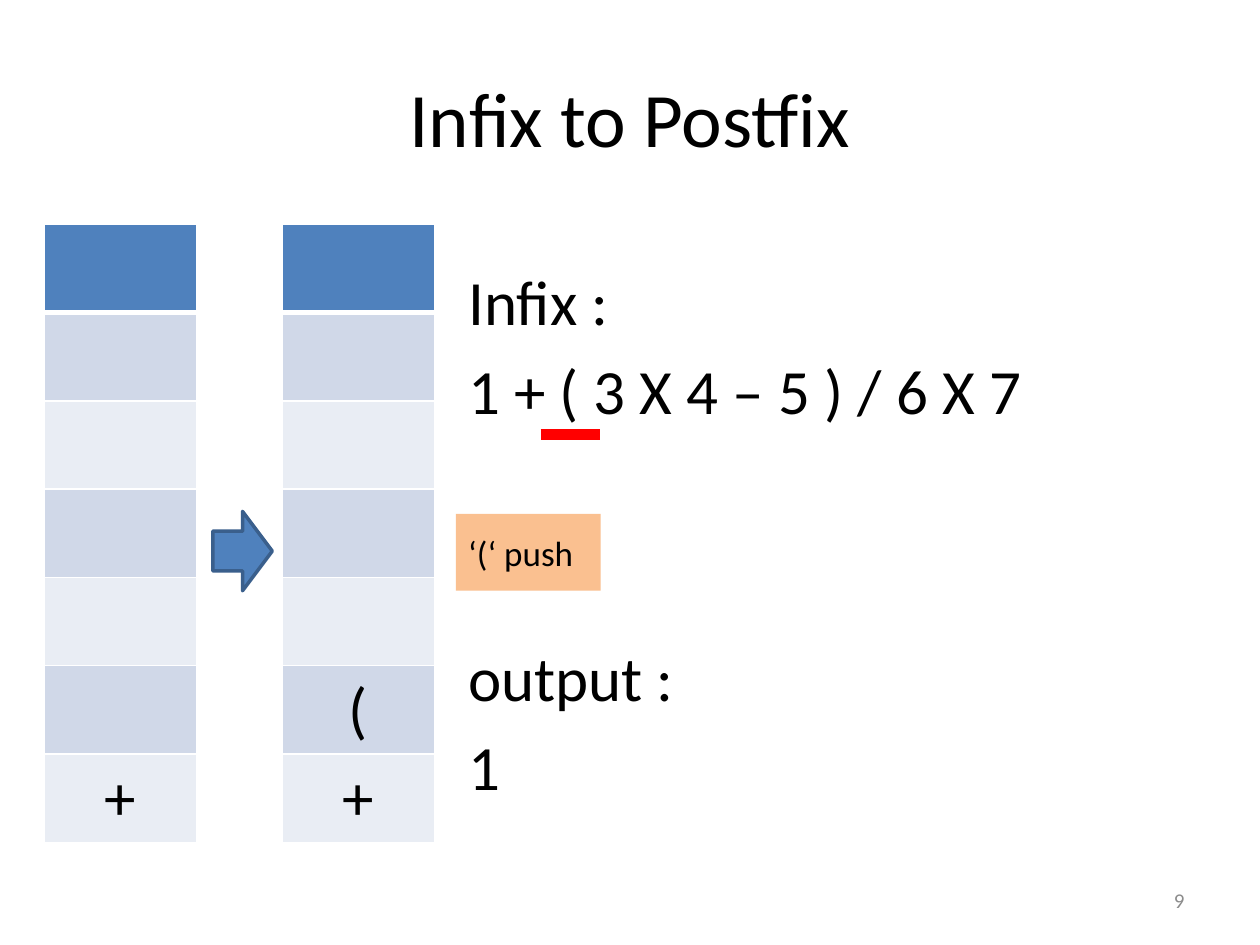
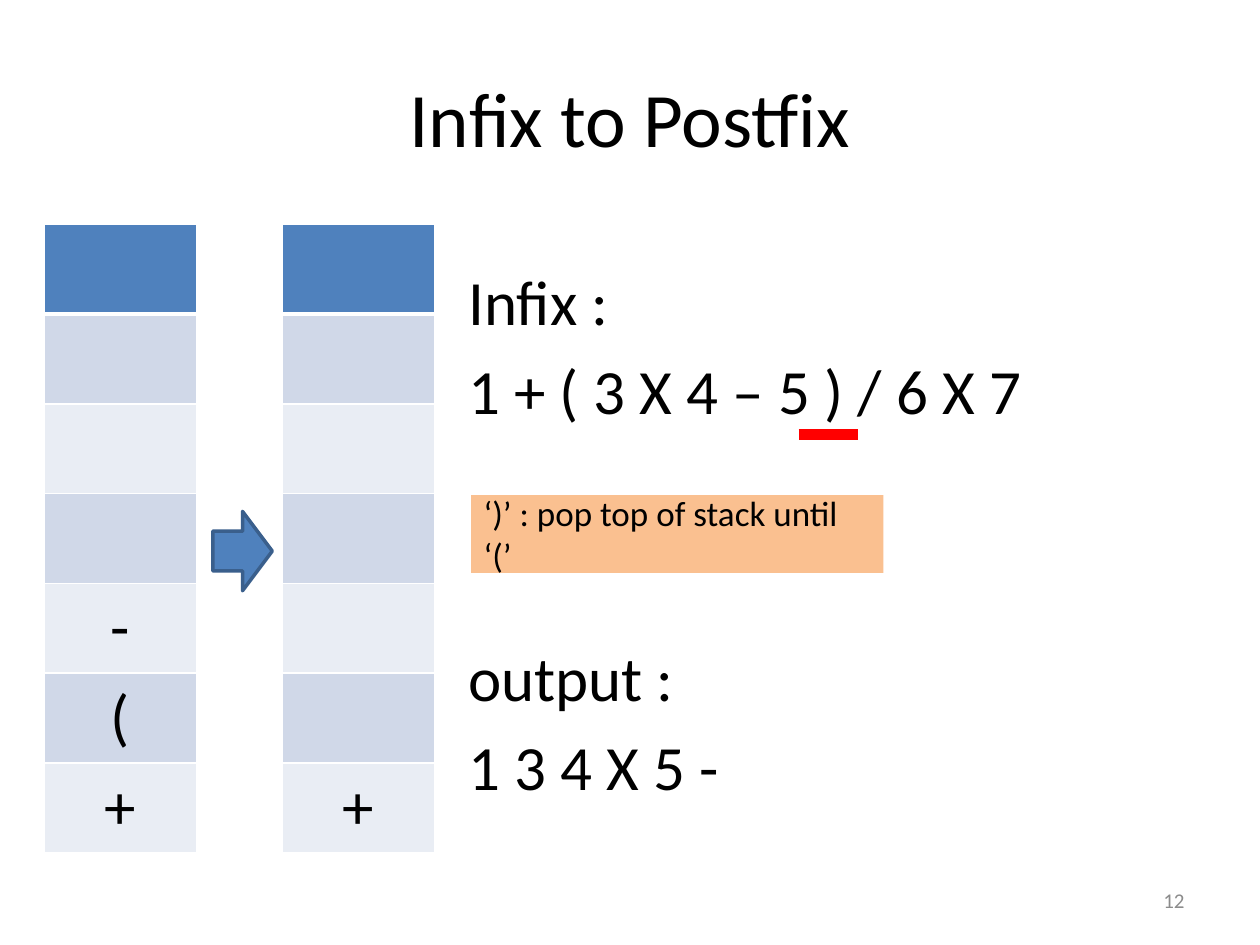
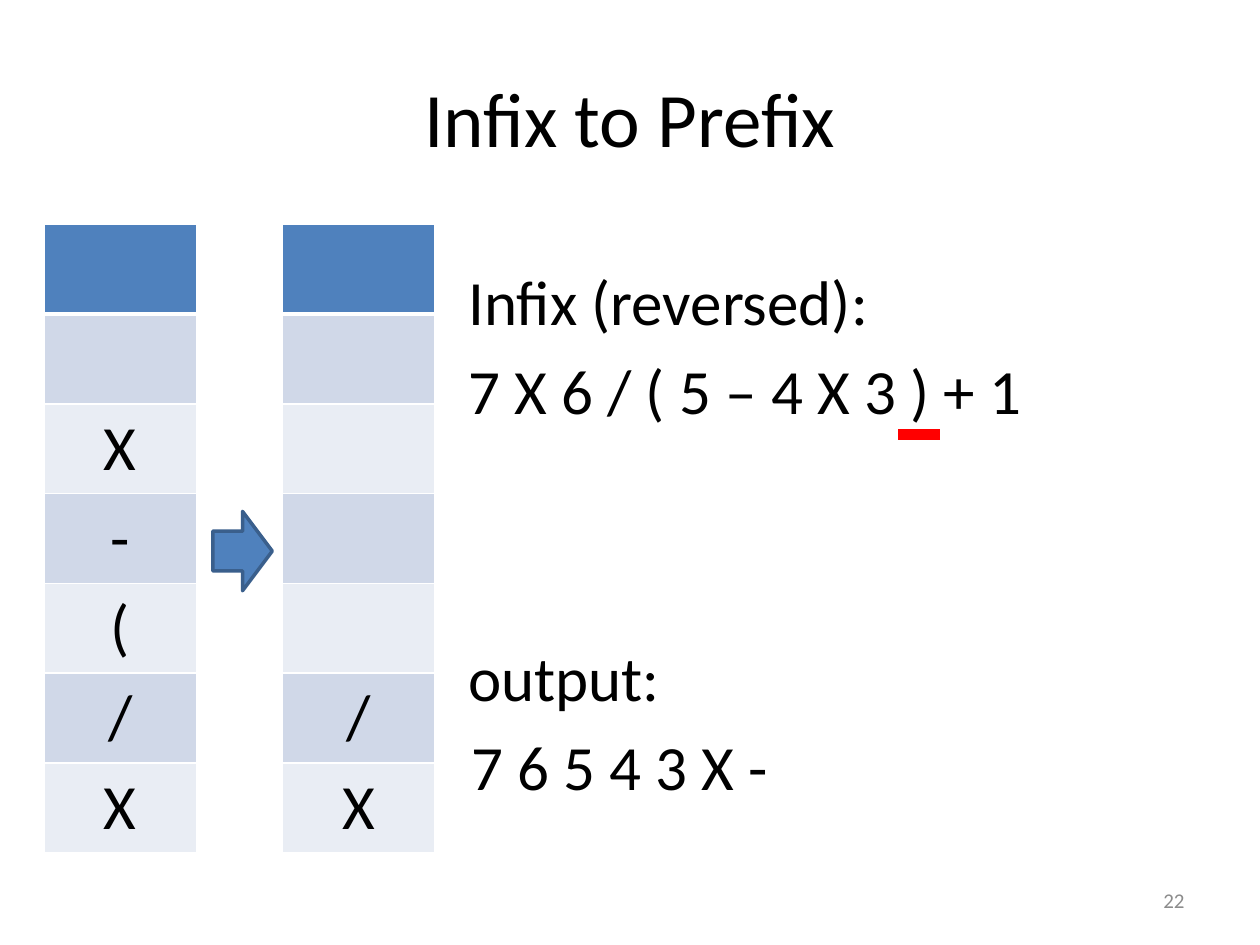
from lxml.etree import SubElement as Sub
from pptx import Presentation
from pptx.dml.color import RGBColor
from pptx.enum.shapes import MSO_CONNECTOR as Line, MSO_SHAPE as Kind
from pptx.enum.text import MSO_ANCHOR as Anchor, MSO_AUTO_SIZE as Auto, PP_ALIGN as Align
from pptx.oxml.ns import qn
from pptx.util import Cm, Pt

FONT = "Calibri"
BLACK, WHITE, RED, GREY = "000000", "FFFFFF", "FF0000", "8C8C8C"
BLUE, EDGE, PEACH = "4F81BD", "3A5F8C", "FAC090"
BANDS = "E9EDF4", "D0D8E8"

ROWS = 7
WIDE = 3.07
TOP = 4.52
LEFT = 9.19
TALL = 1.8
MARK = 8.76

STEPS = [
    {"title": "Infix to Postfix", "page": "9", "row": 1.78,
     "stacks": ["+", "(+"], "mark": (10.9, 12.09),
     "lines": [("Infix :", LEFT, 3.61), ("1 + ( 3 X 4 – 5 ) / 6 X 7", LEFT, 15.98),
               ("output :", LEFT, 5.21), ("1", LEFT, 10.29)],
     "note": ("‘(‘ push", LEFT, 10.36, 2.92, 1.55)},
    {"title": "Infix to Postfix", "page": "12", "row": 1.81,
     "stacks": ["-(+", "+"], "mark": (16.1, 17.3),
     "lines": [("Infix :", LEFT, 3.61), ("1 + ( 3 X 4 – 5 ) / 6 X 7", LEFT, 15.98),
               ("output :", LEFT, 5.21), ("1 3 4 X 5 -", LEFT, 10.29)],
     "note": ("‘)’ : pop top of stack until ‘(’", 9.5, 9.98, 8.31, 1.57)},
    {"title": "Infix to Prefix", "page": "22", "row": 1.81,
     "stacks": ["X-(/X", "/X"], "mark": (18.11, 18.95),
     "lines": [("Infix (reversed):", LEFT, 9.32), ("7 X 6 / ( 5 – 4 X 3 ) + 1", LEFT, 15.98),
               ("output:", LEFT, 9.32), ("7 6 5 4 3 X -", 9.25, 13.46)],
     "note": None},
]
STACK_X = 0.89, 5.69
LINE_Y = 5.16, 6.96, 12.75, 14.55


def tint(code):
    return RGBColor.from_string(code)


def paint(part, code):
    part.fill.solid()
    part.fill.fore_color.rgb = tint(code)


def write(frame, words, size, align=Align.LEFT, code=BLACK):
    para = frame.paragraphs[0]
    para.alignment = align
    run = para.add_run()
    run.text = words
    font = run.font
    font.name, font.size = FONT, Pt(size)
    font.color.rgb = tint(code)


def add_text(slide, words, x, y, wide, tall, size, **style):
    frame = slide.shapes.add_textbox(Cm(x), Cm(y), Cm(wide), Cm(tall)).text_frame
    frame.word_wrap = True
    write(frame, words, size, **style)
    return frame


def edge(cell, head):
    props = cell._tc.get_or_add_tcPr()
    for side in "LRTB":
        width = Pt(3 if head and side == "B" else 1)
        line = Sub(props, qn("a:ln" + side), w=str(width))
        Sub(Sub(line, qn("a:solidFill")), qn("a:srgbClr"), val=WHITE)


def add_stack(slide, items, x, tall):
    table = slide.shapes.add_table(ROWS, 1, Cm(x), Cm(TOP), Cm(WIDE), Cm(tall * ROWS)).table
    for i, mark in enumerate(items.rjust(ROWS)):
        table.rows[i].height = Cm(tall)
        cell = table.cell(i, 0)
        cell.margin_top, cell.margin_bottom = Cm(0.13), Cm(0.05)
        edge(cell, i == 0)
        paint(cell, BANDS[i % 2] if i else BLUE)
        if mark.strip():
            write(cell.text_frame, mark, 36, Align.CENTER)


def add_box(slide, kind, x, y, wide, tall, code):
    box = slide.shapes.add_shape(kind, Cm(x), Cm(y), Cm(wide), Cm(tall))
    box.shadow.inherit = False
    paint(box, code)
    return box


def add_mark(slide, start, end):
    line = slide.shapes.add_connector(Line.STRAIGHT, Cm(start), Cm(MARK), Cm(end), Cm(MARK))
    line.line.color.rgb = tint(RED)
    line.line.width = Pt(6)
    Sub(line._element.spPr, qn("a:effectLst"))


def add_step(deck, step):
    slide = deck.slides.add_slide(deck.slide_layouts[5])
    title = slide.shapes.title
    title.left, title.top, title.width, title.height = Cm(1.27), Cm(0.76), Cm(22.86), Cm(3.18)
    title.text_frame.vertical_anchor = Anchor.MIDDLE
    write(title.text_frame, step["title"], 44, Align.CENTER)

    for items, x in zip(step["stacks"], STACK_X):
        add_stack(slide, items, x, step["row"])
    arrow = add_box(slide, Kind.RIGHT_ARROW, 4.29, 10.31, 1.2, 1.6, BLUE)
    arrow.line.color.rgb = tint(EDGE)
    arrow.line.width = Pt(2)

    for (words, x, wide), y in zip(step["lines"], LINE_Y):
        add_text(slide, words, x, y, wide, TALL, 36).auto_size = Auto.SHAPE_TO_FIT_TEXT
    add_mark(slide, *step["mark"])
    if step["note"]:
        words, *place = step["note"]
        note = add_box(slide, Kind.RECTANGLE, *place, PEACH)
        note.line.fill.background()
        note.text_frame.word_wrap = True
        note.text_frame.vertical_anchor = Anchor.MIDDLE
        write(note.text_frame, words, 20)

    page = add_text(slide, step["page"], 18.2, 17.65, 5.93, 1.01, 12, align=Align.RIGHT, code=GREY)
    page.vertical_anchor = Anchor.MIDDLE


def main():
    deck = Presentation()
    deck.slide_width, deck.slide_height = Cm(25.4), Cm(19.05)
    for step in STEPS:
        add_step(deck, step)
    deck.save("out.pptx")


if __name__ == "__main__":
    main()
